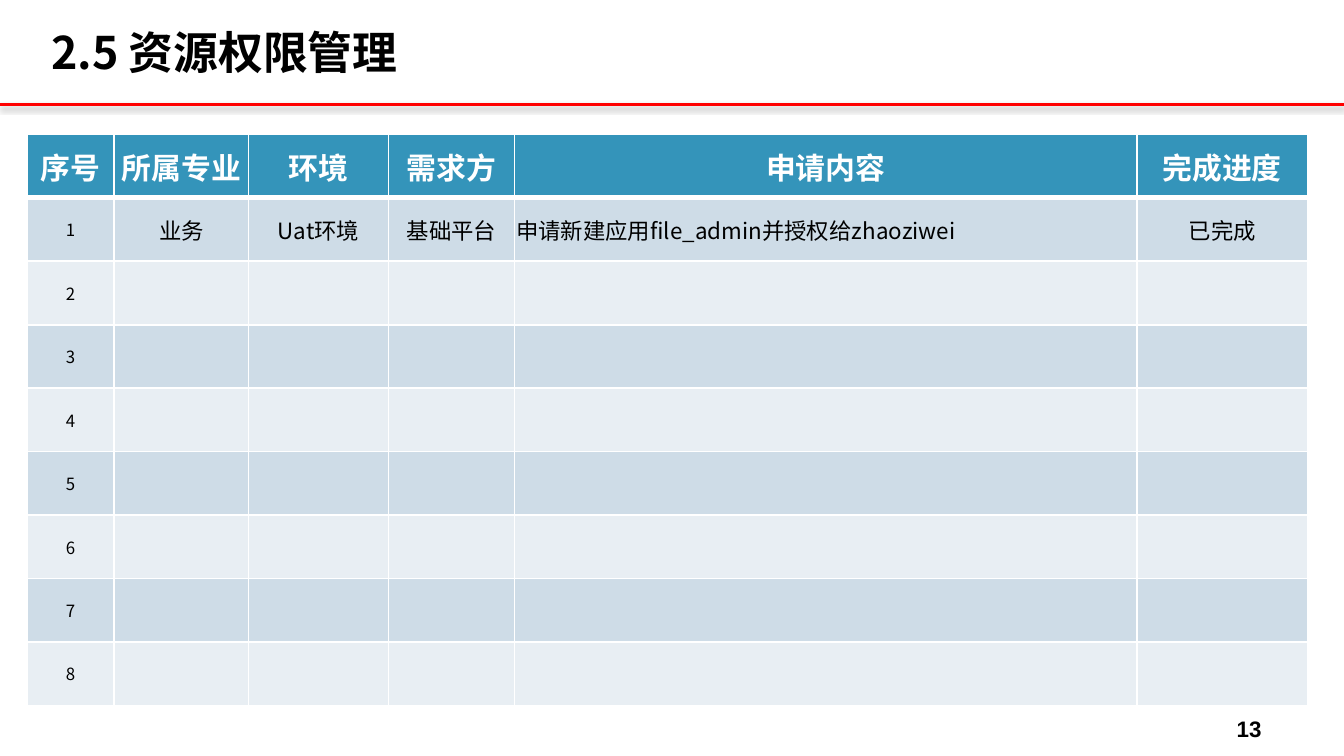
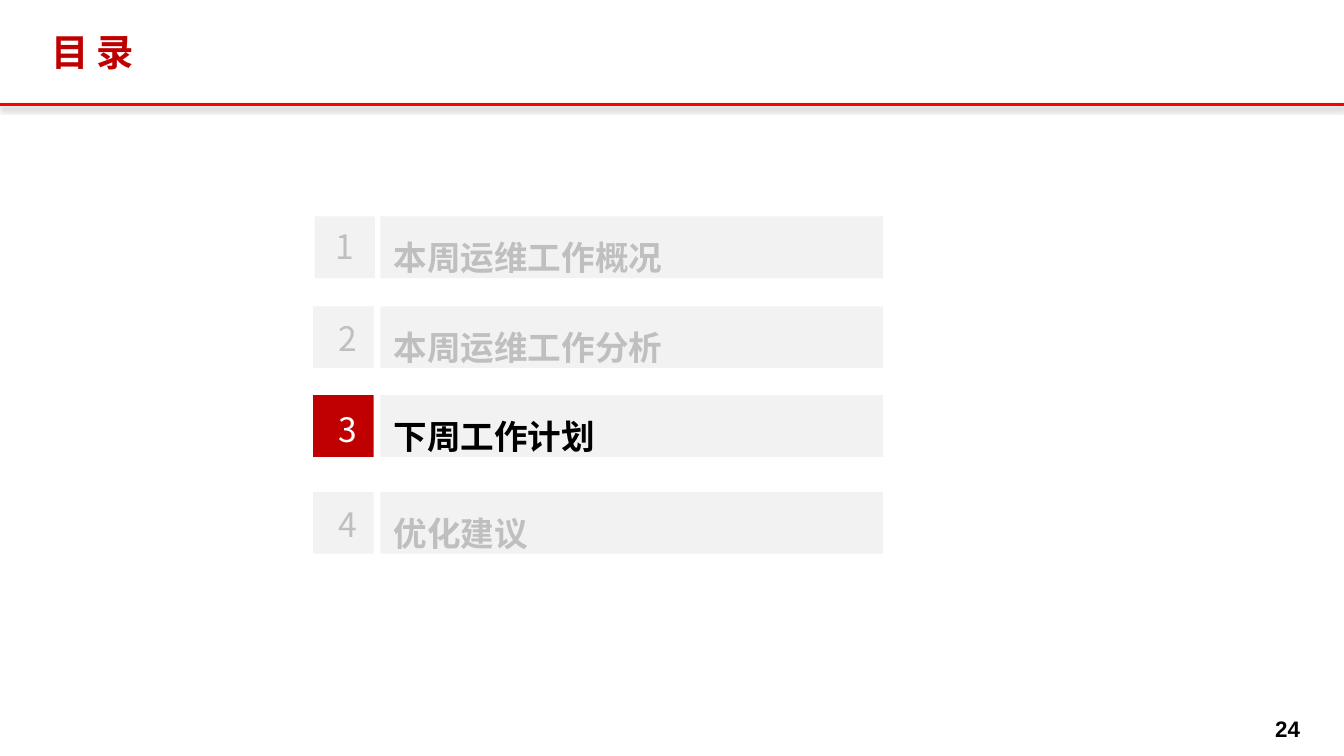
from dataclasses import dataclass

from lxml.etree import SubElement
from pptx import Presentation
from pptx.dml.color import RGBColor
from pptx.enum.shapes import MSO_CONNECTOR, MSO_SHAPE
from pptx.enum.text import MSO_ANCHOR as ANCHOR, MSO_AUTO_SIZE as AUTO, PP_ALIGN as ALIGN
from pptx.oxml.ns import qn
from pptx.util import Inches, Pt

WIDTH = Inches(10)
HEIGHT = WIDTH * 9 // 16
GRID = WIDTH // 100  # square grid, 100 columns across the slide


@dataclass(frozen=True)
class Theme:
    rule: str = "FF0000"
    accent: str = "C00000"
    black: str = "000000"
    white: str = "FFFFFF"
    muted: str = "BFBFBF"
    panel: str = "F2F2F2"
    header: str = "3494BA"
    odd_row: str = "CEDCE7"
    even_row: str = "E8EEF3"
    cjk: str = "Noto Sans CJK SC"
    header_font: str = "DejaVu Sans"
    number_font: str = "Arial"
    title_size: int = 24
    contents_title_size: int = 20
    contents_size: int = 18
    header_size: int = 16
    body_size: int = 12
    index_size: int = 9


THEME = Theme()

# Table of requests
REQUEST_HEADS = ["序号", "所属专业", "环境", "需求方", "申请内容", "完成进度"]
REQUEST_COLUMNS = [6.5, 10, 10.4, 9.4, 46.3, 12.7]
REQUESTS = [["业务", "Uat环境", "基础平台", "申请新建应用file_admin并授权给zhaoziwei", "已完成"]]
REQUEST_ROWS = 8
DETAIL_COLUMN = REQUEST_HEADS.index("申请内容")

# Contents: label, top, left of the badge, offset of the number from left 23.3 and top
CHAPTERS = [
    ("本周运维工作概况", 16.1, 23.4, (0.7, 0.2)),
    ("本周运维工作分析", 22.8, 23.3, (0.9, 0.4)),
    ("下周工作计划", 29.4, 23.3, (0.9, 0.5)),
    ("优化建议", 36.6, 23.3, (0.9, 0.4)),
]
CURRENT_CHAPTER = 3


def cells(*lengths):
    return [round(length * GRID) for length in lengths]


def rgb(code):
    return RGBColor.from_string(code)


def write(frame, text, size, color, font=THEME.cjk, bold=False, align=ALIGN.LEFT, spacing=None):
    paragraph = frame.paragraphs[0]
    paragraph.alignment = align
    if spacing:
        paragraph.line_spacing = spacing
    run = paragraph.add_run()
    run.text = text
    for name, value in {"size": Pt(size), "bold": bold, "name": font}.items():
        setattr(run.font, name, value)
    run.font.color.rgb = rgb(color)
    SubElement(run.font._element, qn("a:ea"), typeface=THEME.cjk)


def add_rule(slide):
    rule = slide.shapes.add_connector(MSO_CONNECTOR.STRAIGHT, *cells(0, 7.8, 100, 7.8))
    rule.line.color.rgb = rgb(THEME.rule)
    rule.line.width = Pt(1.5)
    effects = SubElement(rule._element.spPr, qn("a:effectLst"))
    shadow = SubElement(effects, qn("a:outerShdw"), blurRad=str(Pt(3.1)),
                        dist=str(Pt(1.6)), dir="5400000", rotWithShape="0")
    color = SubElement(shadow, qn("a:srgbClr"), val=THEME.black)
    SubElement(color, qn("a:alpha"), val="38000")


def add_title(slide, text, size, color):
    title = slide.shapes.title
    place = zip(("left", "top", "width", "height"), cells(2.8, 1.2, 78.3, 5.3))
    for name, value in place:
        setattr(title, name, value)
    frame = title.text_frame
    for name, value in {"vertical_anchor": ANCHOR.MIDDLE, "auto_size": AUTO.NONE,
                        "word_wrap": True}.items():
        setattr(frame, name, value)
    write(frame, text, size, color, bold=True)
    indent = cells(4)[0]
    properties = frame.paragraphs[0]._p.get_or_add_pPr()
    for name, value in {"marL": indent, "indent": -indent}.items():
        properties.set(name, str(value))


def add_page_number(slide, number, left, width):
    box = slide.shapes.add_textbox(*cells(left, 52.7, width, 2.4))
    box.text_frame.word_wrap = True
    write(box.text_frame, number, THEME.body_size, THEME.black,
          THEME.number_font, bold=True, align=ALIGN.CENTER)


def new_slide(deck, title, size, color):
    slide = deck.slides.add_slide(deck.slide_layouts[5])
    add_rule(slide)
    add_title(slide, title, size, color)
    return slide


def add_borders(cell, top, bottom):
    properties = cell._tc.get_or_add_tcPr()
    for side, points in {"lnL": 1, "lnR": 1, "lnT": top, "lnB": bottom}.items():
        edge = SubElement(properties, qn(f"a:{side}"), w=str(Pt(points)))
        fill = SubElement(edge, qn("a:solidFill"))
        SubElement(fill, qn("a:srgbClr"), val=THEME.white)


def format_cell(cell, fill, top=1, bottom=1):
    add_borders(cell, top, bottom)
    for name in ("margin_left", "margin_right", "margin_top", "margin_bottom"):
        setattr(cell, name, 0)
    cell.vertical_anchor = ANCHOR.MIDDLE
    cell.fill.solid()
    cell.fill.fore_color.rgb = rgb(fill)


def add_request_table(slide):
    rows = REQUEST_ROWS + 1
    table = slide.shapes.add_table(rows, len(REQUEST_HEADS),
                                   *cells(2, 10, sum(REQUEST_COLUMNS), 42.5)).table
    for column, width in zip(table.columns, cells(*REQUEST_COLUMNS)):
        column.width = width

    # Header row
    for column, head in enumerate(REQUEST_HEADS):
        cell = table.cell(0, column)
        format_cell(cell, THEME.header, bottom=3)
        write(cell.text_frame, head, THEME.header_size, THEME.white,
              THEME.header_font, bold=True, align=ALIGN.CENTER)

    # Numbered rows, filled as far as there are requests
    for row in range(1, rows):
        request = REQUESTS[row - 1] if row <= len(REQUESTS) else []
        values = [str(row), *request]
        for column in range(len(REQUEST_HEADS)):
            cell = table.cell(row, column)
            format_cell(cell, THEME.odd_row if row % 2 else THEME.even_row,
                        top=3 if row == 1 else 1)
            if column < len(values):
                write(cell.text_frame, values[column],
                      THEME.body_size if column else THEME.index_size, THEME.black,
                      align=ALIGN.LEFT if column == DETAIL_COLUMN else ALIGN.CENTER)
        table.cell(row, DETAIL_COLUMN).margin_left = cells(0.1)[0]


def add_panel(group, left, top, width, fill):
    panel = group.shapes.add_shape(MSO_SHAPE.RECTANGLE, *cells(left, top, width, 4.6))
    panel.shadow.inherit = False
    panel.fill.solid()
    panel.fill.fore_color.rgb = rgb(fill)
    panel.line.fill.background()
    return panel


def add_chapter(slide, number, label, top, badge_left, offset):
    current = number == CURRENT_CHAPTER
    group = slide.shapes.add_group_shape()
    add_panel(group, badge_left, top, 4.5, THEME.accent if current else THEME.panel)

    bar = add_panel(group, 28.3, top, 37.4, THEME.panel)
    bar.text_frame.vertical_anchor = ANCHOR.MIDDLE
    write(bar.text_frame, label, THEME.contents_size,
          THEME.black if current else THEME.muted, bold=True, spacing=1.5)

    right, down = offset
    figure = group.shapes.add_textbox(*cells(23.3 + right, top + down, 3.5, 4))
    figure.text_frame.word_wrap = False
    figure.text_frame.auto_size = AUTO.SHAPE_TO_FIT_TEXT
    write(figure.text_frame, str(number), THEME.contents_size,
          THEME.white if current else THEME.muted)


def main():
    deck = Presentation()
    deck.slide_width, deck.slide_height = WIDTH, HEIGHT

    # Resource permissions
    permissions = new_slide(deck, "2.5 资源权限管理", THEME.title_size, THEME.black)
    add_request_table(permissions)
    add_page_number(permissions, "13", 89.8, 6.3)

    # Contents
    contents = new_slide(deck, "目 录", THEME.contents_title_size, THEME.accent)
    for number, chapter in enumerate(CHAPTERS, start=1):
        add_chapter(contents, number, *chapter)
    add_page_number(contents, "24", 92.9, 5.8)

    deck.save("out.pptx")


if __name__ == "__main__":
    main()
